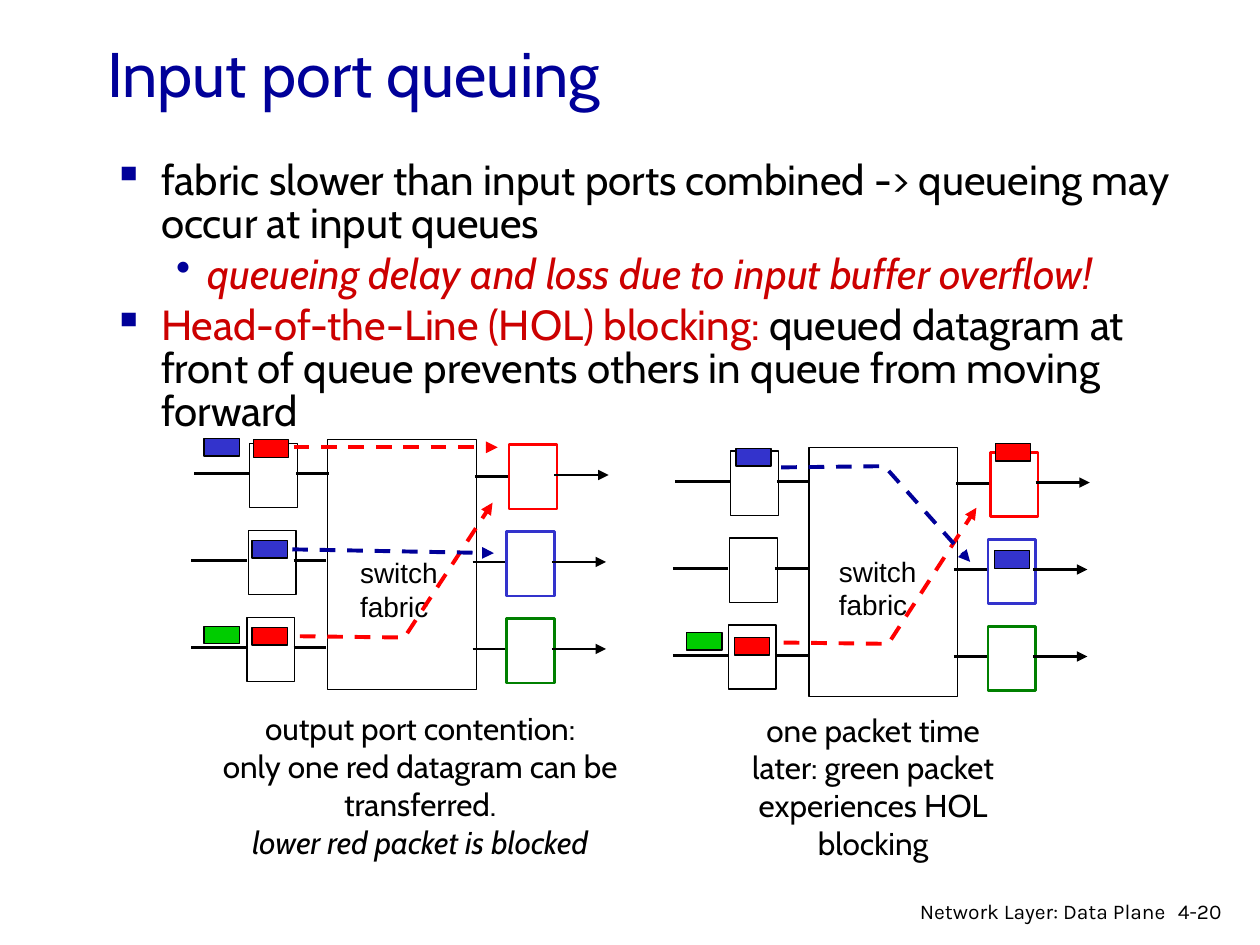
from dataclasses import dataclass
from typing import Optional

from lxml.etree import SubElement
from pptx import Presentation
from pptx.dml.color import RGBColor
from pptx.enum.dml import MSO_LINE
from pptx.enum.shapes import MSO_CONNECTOR, MSO_SHAPE
from pptx.enum.text import MSO_ANCHOR, MSO_AUTO_SIZE, PP_ALIGN
from pptx.oxml.ns import qn
from pptx.util import Inches, Pt

BLACK = RGBColor(0x00, 0x00, 0x00)
WHITE = RGBColor(0xFF, 0xFF, 0xFF)
NAVY = RGBColor(0x00, 0x00, 0x99)
CRIMSON = RGBColor(0xCC, 0x00, 0x00)
RED = RGBColor(0xFF, 0x00, 0x00)
BLUE = RGBColor(0x33, 0x33, 0xCC)
GREEN = RGBColor(0x00, 0xCC, 0x00)
DARK_GREEN = RGBColor(0x00, 0x80, 0x00)
PORT_SIZE = (0.38, 0.51)
PACKET_SIZE = (0.28, 0.14)


@dataclass
class Bullet:
    runs: list[tuple[str, RGBColor]]
    level: int = 0
    italic: bool = False


@dataclass
class Packet:
    left: float
    top: float
    color: RGBColor


@dataclass
class Route:
    points: list[tuple[float, float]]
    color: RGBColor


@dataclass
class Port:
    input_left: float
    input_top: float
    output_left: float
    output_top: float
    output_color: RGBColor
    input_line: float
    output_line: float
    exit_line: float
    shift: float


@dataclass
class Diagram:
    left: float
    top: float
    label: tuple[float, float]
    packets: list[Packet]
    routes: list[Route]


BULLETS = [
    Bullet([("fabric slower than input ports combined -> queueing may occur at input queues", BLACK)]),
    Bullet([("queueing delay and loss due to input buffer overflow!", CRIMSON)], 1, True),
    Bullet([
        ("Head-of-the-Line (HOL) blocking:", CRIMSON),
        (" queued datagram at front of queue prevents others in queue from moving forward", BLACK),
    ]),
]
BULLET_STYLES = [("▪", 0.38, 0.38), ("•", 0.75, 0.25)]

PORTS = [
    Port(0.46, 0.04, 2.52, 0.05, RED, 0.28, 0.30, 0.29, 0.02),
    Port(0.45, 0.73, 2.50, 0.74, BLUE, 0.97, 0.98, 0.98, 0),
    Port(0.44, 1.42, 2.50, 1.43, DARK_GREEN, 1.66, 1.67, 1.67, 0),
]

DIAGRAMS = [
    Diagram(
        1.52, 3.48, (2.76, 4.36),
        [Packet(2.01, 3.49, RED), Packet(2, 4.29, BLUE), Packet(2, 4.98, RED),
         Packet(1.62, 3.48, BLUE), Packet(1.62, 4.97, GREEN)],
        [Route([(2.33, 3.55), (3.95, 3.55)], RED),
         Route([(2.38, 5.05), (3.21, 5.06), (3.91, 3.99)], RED),
         Route([(2.32, 4.36), (3.92, 4.39)], NAVY)],
    ),
    Diagram(
        5.34, 3.54, (6.56, 4.35),
        [Packet(7.9, 3.52, RED), Packet(5.84, 3.56, BLUE), Packet(5.83, 5.06, RED),
         Packet(5.45, 5.02, GREEN), Packet(7.89, 4.37, BLUE)],
        [Route([(6.22, 5.1), (7.05, 5.11), (7.75, 4.03)], RED),
         Route([(6.2, 3.71), (7.02, 3.7), (7.7, 4.46)], NAVY)],
    ),
]


def set_font(font, name: str, size: float, color: Optional[RGBColor] = BLACK) -> None:
    font.name = name
    font.size = Pt(size)
    if color is not None:
        font.color.rgb = color


def add_box(shapes, left: float, top: float, size: tuple[float, float],
            fill: RGBColor, line: RGBColor = BLACK, width: float = 0.75) -> None:
    shape = shapes.add_shape(MSO_SHAPE.RECTANGLE, *map(Inches, (left, top, *size)))
    shape.shadow.inherit = False
    shape.fill.solid()
    shape.fill.fore_color.rgb = fill
    shape.line.color.rgb = line
    shape.line.width = Pt(width)


def add_route(shapes, points: list[tuple[float, float]], color: RGBColor = BLACK,
              width: float = 1.5, dashed: bool = False, arrow: bool = False) -> None:
    corners = [(Inches(x), Inches(y)) for x, y in points]
    if len(corners) == 2:
        shape = shapes.add_connector(MSO_CONNECTOR.STRAIGHT, *corners[0], *corners[1])
    else:
        builder = shapes.build_freeform(*corners[0])
        builder.add_line_segments(corners[1:], close=False)
        shape = builder.convert_to_shape()
        shape.fill.background()
    shape.line.color.rgb = color
    shape.line.width = Pt(width)
    if dashed:
        shape.line.dash_style = MSO_LINE.DASH
    properties = shape.element.spPr
    if arrow:
        SubElement(properties.find(qn("a:ln")), qn("a:tailEnd"), type="triangle")
    SubElement(properties, qn("a:effectLst"))


def add_text(shapes, lines: list[str], bounds: tuple[float, float, float, float],
             font_name: str, size: float, alignment: PP_ALIGN = PP_ALIGN.LEFT, wrap: bool = True):
    frame = shapes.add_textbox(*map(Inches, bounds)).text_frame
    frame.word_wrap = wrap
    for index, line in enumerate(lines):
        paragraph = frame.add_paragraph() if index else frame.paragraphs[0]
        paragraph.text = line
        paragraph.alignment = alignment
        set_font(paragraph.font, font_name, size)
    return frame


def add_bullets(shapes) -> None:
    frame = shapes.add_textbox(Inches(0.8), Inches(1.23), Inches(8.86), Inches(2.9)).text_frame
    frame.word_wrap = True
    for index, bullet in enumerate(BULLETS):
        paragraph = frame.add_paragraph() if index else frame.paragraphs[0]
        paragraph.level = bullet.level
        paragraph.line_spacing = 0.85
        paragraph.space_before = Pt(4.8 if index else 0)
        character, margin, hanging = BULLET_STYLES[bullet.level]
        properties = paragraph._p.get_or_add_pPr()
        properties.set("marL", str(Inches(margin)))
        properties.set("indent", str(-Inches(hanging)))
        bullet_color = SubElement(properties, qn("a:buClr"))
        SubElement(bullet_color, qn("a:srgbClr"), val=str(NAVY))
        SubElement(properties, qn("a:buChar"), char=character)
        set_font(paragraph.font, "Cabin", 24, None)
        paragraph.font.italic = bullet.italic
        for text, color in bullet.runs:
            run = paragraph.add_run()
            run.text = text
            run.font.color.rgb = color


def add_switch(shapes, left: float, top: float) -> None:
    add_box(shapes, left + 1.08, top + 0.01, (1.18, 1.98), WHITE)
    for port in PORTS:
        add_box(shapes, left + port.input_left, top + port.input_top, PORT_SIZE, WHITE)
        add_box(shapes, left + port.output_left, top + port.output_top, PORT_SIZE, WHITE,
                port.output_color, 1.5)
        start = left + port.shift
        for offset, length, height in [(0, 0.44, port.input_line), (0.81, 0.26, port.input_line),
                                       (2.23, 0.26, port.output_line), (2.86, 0.43, port.exit_line)]:
            y = top + height
            add_route(shapes, [(start + offset, y), (start + offset + length, y)],
                      arrow=height == port.exit_line and offset > 2.5)


def add_diagram(slide, diagram: Diagram) -> None:
    shapes = slide.shapes.add_group_shape().shapes
    add_switch(shapes, diagram.left, diagram.top)
    add_text(shapes, ["switch", "fabric"], (*diagram.label, 0.82, 0.64), "Arial", 16, wrap=False)
    for packet in diagram.packets:
        add_box(shapes, packet.left, packet.top, PACKET_SIZE, packet.color)
    for route in diagram.routes:
        add_route(shapes, route.points, route.color, 2.25, True, True)


def main() -> None:
    presentation = Presentation()
    presentation.slide_width, presentation.slide_height = Inches(10), Inches(7.5)
    slide = presentation.slides.add_slide(presentation.slide_layouts[5])
    title = slide.shapes.title
    title.left, title.top, title.width, title.height = map(Inches, (0.75, 0.32, 8.5, 0.5))
    title.text_frame.text = "Input port queuing"
    title.text_frame.vertical_anchor = MSO_ANCHOR.MIDDLE
    title.text_frame.auto_size = MSO_AUTO_SIZE.NONE
    paragraph = title.text_frame.paragraphs[0]
    paragraph.alignment = PP_ALIGN.LEFT
    set_font(paragraph.font, "Cabin", 36, NAVY)
    add_bullets(slide.shapes)
    for diagram in DIAGRAMS:
        add_diagram(slide, diagram)
    caption = add_text(slide.shapes, ["output port contention:", "only one red datagram can be transferred."],
                       (1.48, 5.58, 3.71, 1.3), "Cabin", 18, PP_ALIGN.CENTER)
    caption.paragraphs[1].add_line_break()
    run = caption.paragraphs[1].add_run()
    run.text = "lower red packet is blocked"
    run.font.italic = True
    add_text(slide.shapes, ["one packet time later: green packet experiences HOL blocking"],
             (5.71, 5.59, 2.44, 1.3), "Cabin", 18, PP_ALIGN.CENTER)
    add_text(slide.shapes, ["4-20"], (9.25, 7.08, 0.61, 0.3), "Karla", 12)
    add_text(slide.shapes, ["Network Layer: Data Plane"], (6.97, 7.08, 2.38, 0.26), "Karla", 12, PP_ALIGN.RIGHT)
    presentation.save("out.pptx")


if __name__ == "__main__":
    main()
